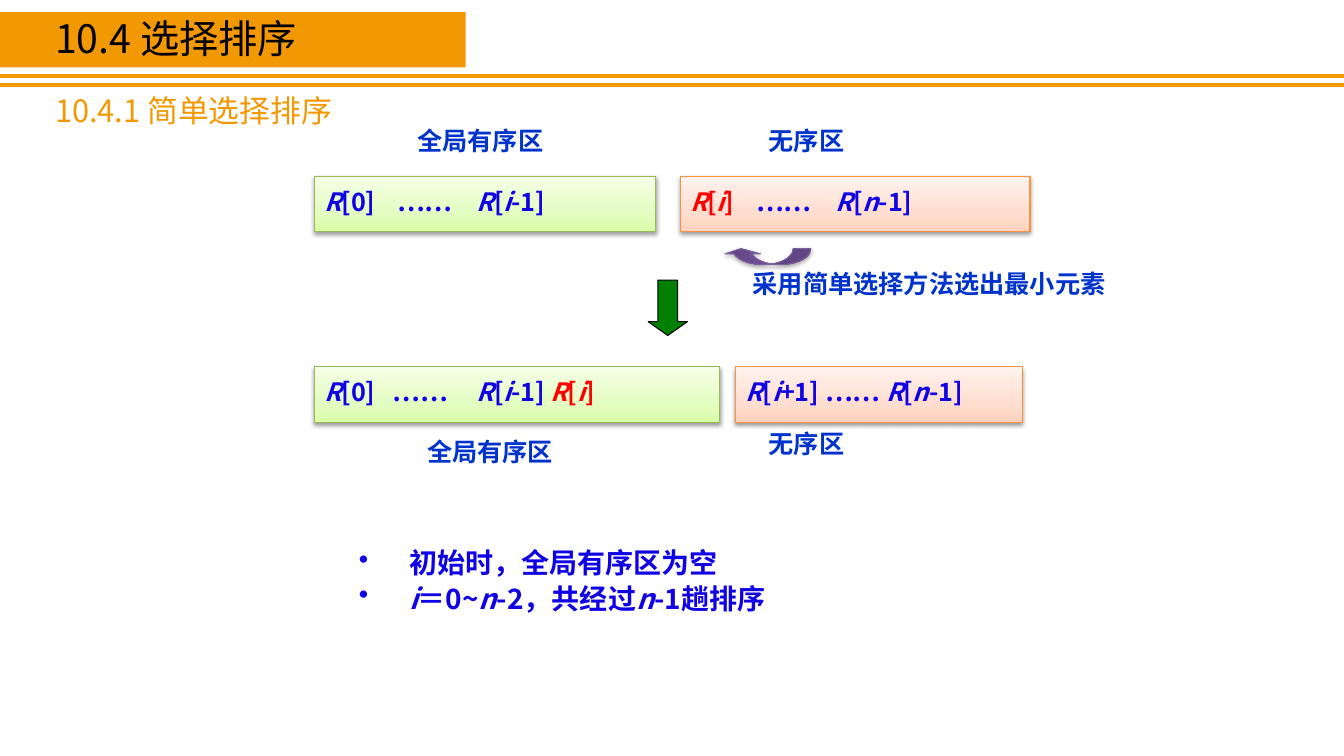
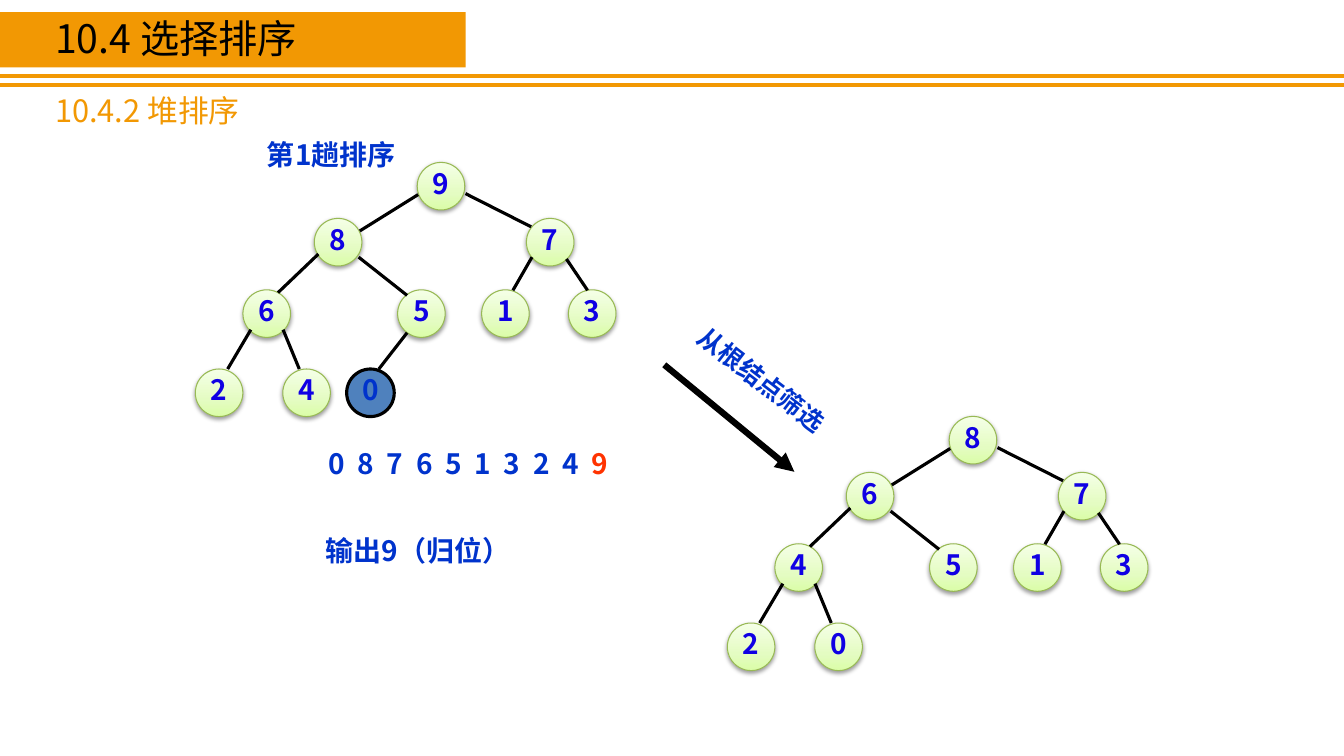
from dataclasses import dataclass

from lxml import etree
from pptx import Presentation
from pptx.dml.color import RGBColor
from pptx.enum.shapes import MSO_CONNECTOR, MSO_SHAPE
from pptx.enum.text import MSO_ANCHOR, PP_ALIGN
from pptx.oxml.ns import qn
from pptx.util import Pt

RECT, OVAL = MSO_SHAPE.RECTANGLE, MSO_SHAPE.OVAL
DOWN, CURVED = MSO_SHAPE.DOWN_ARROW, MSO_SHAPE.CURVED_LEFT_ARROW
STRAIGHT = MSO_CONNECTOR.STRAIGHT
MIDDLE, LEFT, CENTER = MSO_ANCHOR.MIDDLE, PP_ALIGN.LEFT, PP_ALIGN.CENTER


@dataclass(frozen=True)
class Style:
    """Gradient stops, outline and shadow opacity of a raised shape."""
    stops: tuple
    line: str
    shadow: int = 38


@dataclass(frozen=True)
class Theme:
    """Colours, type sizes and shape styles of the deck."""
    font: str = "Noto Sans CJK SC"
    orange: str = "F29803"
    black: str = "000000"
    white: str = "FFFFFF"
    label: str = "0033CC"
    ink: str = "1000E4"
    red: str = "FF0000"
    output: str = "FF3300"
    arrow: str = "008000"
    last: str = "4F81BD"
    title: int = 28
    subtitle: int = 22
    body: int = 20
    small: int = 18
    green: Style = Style(((0, "DAFDA7"), (35, "E4FCC2"), (100, "F5FFE7")), "98B955")
    peach: Style = Style(((0, "FFD2BD"), (35, "FFDED0"), (100, "FFF2ED")), "F69240")
    purple: Style = Style(((0, "5F4480"), (80, "7B58A6"), (100, "7C57A8")), "7D60A0", 35)


T = Theme()
NODE = 34
TREE_SLOTS = (
    ((0, 0), None),
    ((-73.5, 40), (0.7, 23, -41, 49)),
    ((78, 40), (34.5, 22.3, 81.4, 46)),
    ((-124.5, 91), (-70.6, 65.5, -99.4, 93)),
    ((-14, 91), (-41.8, 67.7, -7.2, 95)),
    ((46, 91), (82, 67.7, 68.4, 91.4)),
    ((108, 91), (106.6, 69, 121.7, 91.4)),
    ((-158.5, 147.6), (-118.8, 119.5, -135.4, 147.6)),
    ((-96, 147.6), (-95.8, 119.5, -84.2, 147.6)),
    ((-50.4, 147.6), (-7.2, 121.7, -27.4, 147.6)),
)


def rgb(value):
    """Return the colour for a hex string."""
    return RGBColor.from_string(value)


def child(parent, tag, **attrs):
    """Append a DrawingML element and return it."""
    return etree.SubElement(parent, qn(tag), {k: str(v) for k, v in attrs.items()})


def add_runs(p, segments):
    """Add (text, colour) segments, where asterisks enclose italics."""
    for text, color in segments:
        for n, part in enumerate(text.split("*")):
            if part:
                r = p.add_run()
                r.text = part
                if n % 2:
                    r.font.italic = True
                if color:
                    r.font.color.rgb = rgb(color)


def write(p, segments, size, color, bold=True, align=LEFT, tabs=(), bullet=False):
    """Fill a paragraph in the deck's type style."""
    p.alignment = align
    p.line_spacing = 0.8
    pPr = p._p.get_or_add_pPr()
    if bullet:
        pPr.set("marL", str(Pt(36)))
        pPr.set("indent", str(Pt(-36)))
        child(pPr, "a:buChar", char="•")
    if tabs:
        tab_list = child(pPr, "a:tabLst")
        for pos in tabs:
            child(tab_list, "a:tab", pos=Pt(pos), algn="l")
    p.font.size = Pt(size)
    p.font.bold = bold
    p.font.color.rgb = rgb(color)
    p.font.name = T.font
    child(pPr.find(qn("a:defRPr")), "a:ea", typeface=T.font)
    add_runs(p, segments)


def add_text(s, box, text, size=T.small, color=T.label, **style):
    """Add a one-paragraph text box; text is a string or segments."""
    sp = s.shapes.add_textbox(*map(Pt, box))
    sp.text_frame.word_wrap = True
    segments = [(text, None)] if isinstance(text, str) else text
    write(sp.text_frame.paragraphs[0], segments, size, color, **style)
    return sp


def add_flat(s, kind, box, fill, line=None, width=0.75):
    """Add a shape with a solid fill and no shadow."""
    sp = s.shapes.add_shape(kind, *map(Pt, box))
    sp.shadow.inherit = False
    sp.fill.solid()
    sp.fill.fore_color.rgb = rgb(fill)
    if line:
        sp.line.color.rgb = rgb(line)
        sp.line.width = Pt(width)
    else:
        sp.line.fill.background()
    return sp


def add_raised(s, kind, box, style):
    """Add a shape with a vertical gradient and a soft shadow."""
    sp = add_flat(s, kind, box, T.white, style.line)
    sp.fill.gradient()
    sp.fill.gradient_angle = 90
    spPr = sp._element.spPr
    stops = spPr.find(qn("a:gradFill")).find(qn("a:gsLst"))
    for gs in list(stops):
        stops.remove(gs)
    for pos, color in style.stops:
        child(child(stops, "a:gs", pos=pos * 1000), "a:srgbClr", val=color)
    shadow = child(spPr.find(qn("a:effectLst")), "a:outerShdw", blurRad=Pt(3.1),
                   dist=Pt(1.6), dir=5400000, rotWithShape=0)
    child(child(shadow, "a:srgbClr", val=T.black), "a:alpha", val=style.shadow * 1000)
    return sp


def set_inside(sp, segments, size, color, **style):
    """Write one unwrapped, vertically centred line in a shape."""
    tf = sp.text_frame
    tf.word_wrap = False
    tf.vertical_anchor = MIDDLE
    write(tf.paragraphs[0], segments, size, color, **style)


def add_line(s, ends, width=2.25, color=T.black, arrow=False):
    """Add a straight line, optionally with an arrowhead at its end."""
    c = s.shapes.add_connector(STRAIGHT, *map(Pt, ends))
    c.line.color.rgb = rgb(color)
    c.line.width = Pt(width)
    spPr = c._element.spPr
    if arrow:
        child(spPr.find(qn("a:ln")), "a:tailEnd", type="triangle")
    child(spPr, "a:effectLst")


def add_region(s, left, top, width, style, segments, tabs=()):
    """Add a bar showing one region of the record array."""
    sp = add_raised(s, RECT, (left, top, width, 39.6), style)
    set_inside(sp, segments, T.small, T.ink, tabs=tabs)


def add_bullets(s, box, items):
    """Add a white box with a bulleted list."""
    sp = add_flat(s, RECT, box, T.white)
    tf = sp.text_frame
    tf.word_wrap = True
    tf.margin_left, tf.margin_right = Pt(14.4), Pt(7.2)
    tf.margin_top = tf.margin_bottom = Pt(8.64)
    for n, item in enumerate(items):
        p = tf.add_paragraph() if n else tf.paragraphs[0]
        if n:
            p.space_before = Pt(6)
        write(p, [(item, None)], T.body, T.ink, bullet=True)


def add_tree(s, left, top, values, marked=None):
    """Draw a heap in level order; the marked position is a plain node."""
    for n, (value, ((dx, dy), edge)) in enumerate(zip(values, TREE_SLOTS)):
        box = (left + dx, top + dy, NODE, NODE)
        if n == marked:
            sp, color = add_flat(s, OVAL, box, T.last, T.black, 2.25), T.label
        else:
            sp, color = add_raised(s, OVAL, box, T.green), T.ink
        set_inside(sp, [(value, None)], T.body, color, align=CENTER)
        if edge:
            x1, y1, x2, y2 = edge
            add_line(s, (left + x1, top + y1, left + x2, top + y2))


def new_slide(prs, subtitle):
    """Add a slide with the shared bands, title and its subtitle."""
    s = prs.slides.add_slide(prs.slide_layouts[6])
    for y in (54.5, 60.5):
        add_line(s, (0, y, 960, y), 3, T.orange)
    add_flat(s, RECT, (0, 8.6, 332.6, 39.6), T.orange)
    add_text(s, (32.4, 13, 273.6, 34.6), "10.4 选择排序", T.title, T.black, bold=False)
    add_text(s, (32.4, 67, 345.6, 28.8), subtitle, T.subtitle, T.orange, bold=False)
    return s


def build_selection(prs):
    """Build the simple selection sort slide."""
    s = new_slide(prs, "10.4.1 简单选择排序")
    for text, left, top, width in (
        ("全局有序区", 291, 90, 122),
        ("无序区", 542, 90, 91),
        ("全局有序区", 298, 312.5, 123),
        ("无序区", 542, 306.7, 91),
        ("采用简单选择方法选出最小元素", 530.6, 192.2, 279.4),
    ):
        add_text(s, (left, top, width, 24.5), text)
    chosen = ("*R*[*i*]", T.red)
    add_region(s, 224.6, 126, 244, T.green,
               [("*R*[0]\t……\t*R*[*i*-1]", None)], (52, 109))
    add_region(s, 486, 126, 249.8, T.peach,
               [chosen, ("\t……\t*R*[*n*-1]", None)], (47, 104))
    add_region(s, 224.6, 262, 289.4, T.green,
               [("*R*[0]\t……\t*R*[*i*-1] ", None), chosen], (49, 109))
    add_region(s, 525.6, 262, 204.5, T.peach,
               [("*R*[*i*+1] …… *R*[*n*-1]", None)])
    swap = add_raised(s, CURVED, (542.2, 152, 11.5, 62.6), T.purple)
    swap.rotation = 90
    for n, value in enumerate((1.1, 2.19, 0.33)):
        swap.adjustments[n] = value
    step = add_flat(s, DOWN, (463, 200, 28, 39.6), T.arrow, T.black)
    step.adjustments[1] = 0.35
    add_bullets(s, (242, 383, 391, 67.7),
                ("初始时，全局有序区为空", "*i*＝0~*n*-2，共经过*n*-1趟排序"))


def build_heap(prs):
    """Build the heap sort slide."""
    s = new_slide(prs, "10.4.2 堆排序")
    add_tree(s, 298, 116, "9876513240", marked=9)
    add_tree(s, 678, 297.4, "867451320")
    add_line(s, (474.5, 260.6, 567.4, 337), 4.5, arrow=True)
    note = add_text(s, (474.5, 260.6, 136, 24.5), "从根结点筛选", align=CENTER)
    note.rotation = 37.5
    add_text(s, (160, 99.4, 153.4, 26.6), "第1趟排序", T.body, align=CENTER)
    add_text(s, (227.5, 320.4, 250, 26.6),
             [("\t".join("087651324") + "\t", None), ("9", T.output)],
             T.body, tabs=[20.9 * n for n in range(1, 10)])
    add_text(s, (208, 382.3, 181.4, 26.6), "输出9（归位）", T.body, align=CENTER)


def main():
    """Build and save the deck."""
    prs = Presentation()
    prs.slide_width, prs.slide_height = Pt(960), Pt(540)
    build_selection(prs)
    build_heap(prs)
    prs.save("out.pptx")


if __name__ == "__main__":
    main()
